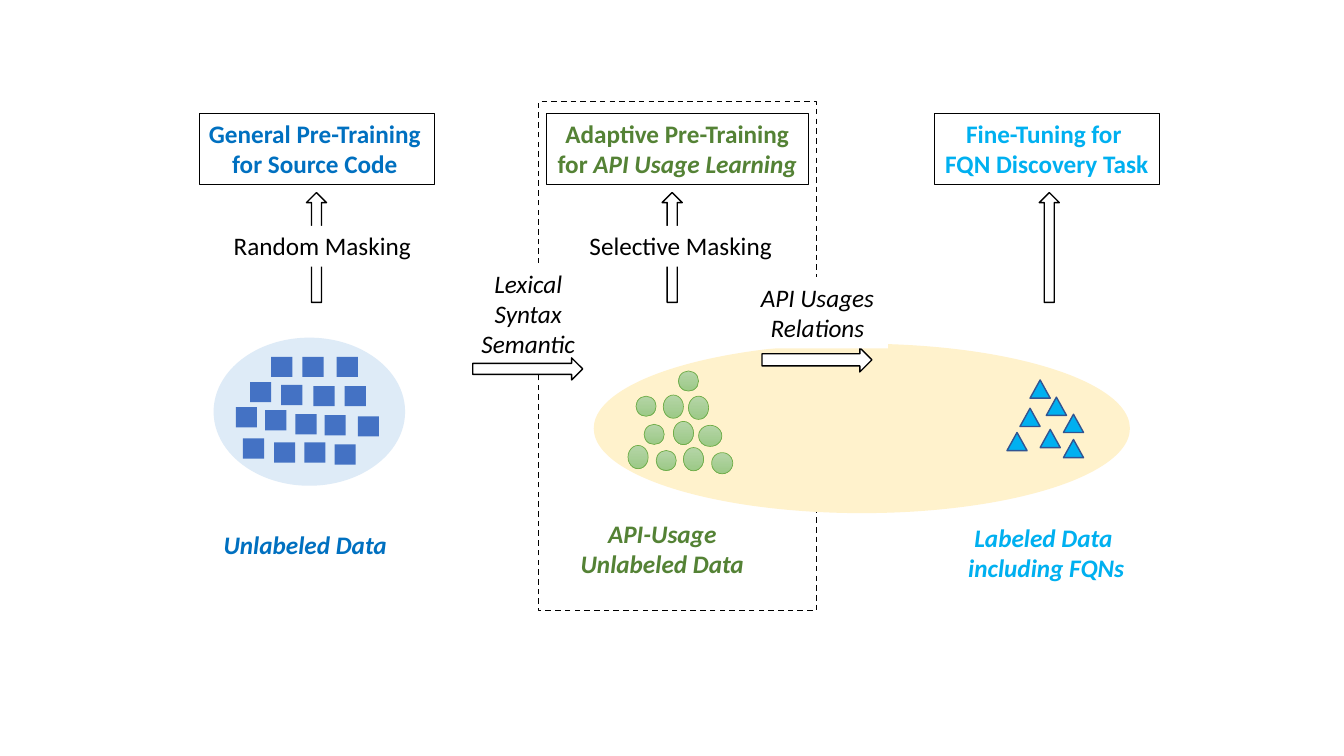
from pptx import Presentation
from pptx.dml.color import RGBColor
from pptx.enum.dml import MSO_LINE
from pptx.enum.shapes import MSO_SHAPE
from pptx.enum.text import MSO_AUTO_SIZE, PP_ALIGN
from pptx.util import Pt

RECT = MSO_SHAPE.RECTANGLE
OVAL = MSO_SHAPE.OVAL
PEAK = MSO_SHAPE.ISOSCELES_TRIANGLE
UP = MSO_SHAPE.UP_ARROW
RIGHT = MSO_SHAPE.RIGHT_ARROW
DASH = MSO_LINE.DASH
GROW = MSO_AUTO_SIZE.SHAPE_TO_FIT_TEXT
LEFT, MID = PP_ALIGN.LEFT, PP_ALIGN.CENTER

BLACK = RGBColor(0x00, 0x00, 0x00)
WHITE = RGBColor(0xFF, 0xFF, 0xFF)
BLUE = RGBColor(0x00, 0x70, 0xC0)
SKY = RGBColor(0x00, 0xB0, 0xF0)
NAVY = RGBColor(0x32, 0x54, 0x91)
ROYAL = RGBColor(0x44, 0x72, 0xC4)
PALE = RGBColor(0xDE, 0xEB, 0xF7)
CREAM = RGBColor(0xFF, 0xF2, 0xCC)
GREEN = RGBColor(0x54, 0x82, 0x35)
LEAF = RGBColor(0x70, 0xAD, 0x47)
MINT = [RGBColor(0xB5, 0xD5, 0xA7), RGBColor(0x9C, 0xC9, 0x87)]

SQUARES = [
    (178.6, 272.9), (193.7, 254.9), (216, 254.9), (200.9, 275),
    (223.9, 275.8), (168.5, 290.9), (189.4, 293), (211, 295.9),
    (231.8, 296.6), (173.5, 313.2), (195.8, 316.1), (217.4, 316.1),
    (240.5, 254.9), (246.2, 275.8), (255.6, 297.4), (239, 317.5),
]
DOTS = [
    (460.1, 303.1, 14.4, 14.4), (473.8, 282.2, 14.4, 16.6),
    (481, 301, 14.4, 16.6), (491.8, 283, 14.4, 16.6),
    (499, 303.8, 16.6, 15.1), (484.6, 265, 14.4, 14.4),
    (488.2, 319.7, 14.4, 16.6), (468.7, 321.8, 14.4, 14.4),
    (508.3, 323.3, 15.1, 15.1), (448.6, 318.2, 14.4, 16.6),
    (454.3, 283, 14.4, 14.4),
]
PEAKS = [
    (735.8, 271.4), (719.3, 308.9), (728.6, 291.6), (743, 306.7),
    (747.4, 283.7), (759.6, 295.9), (759.6, 313.9),
]


def put(item, **values):
    for name, value in values.items():
        setattr(item, name, value)


def paint(shape, fill=None, edge=None, width=1):
    if isinstance(fill, list):
        shape.fill.gradient()
        shape.fill.gradient_angle = 270
        for stop, color in zip(shape.fill.gradient_stops, fill):
            stop.color.rgb = color
    elif fill is None:
        shape.fill.background()
    else:
        shape.fill.solid()
        shape.fill.fore_color.rgb = fill
    if edge is None:
        shape.line.fill.background()
    else:
        shape.line.color.rgb = edge
        shape.line.width = Pt(width)


def form(shapes, kind, box, **look):
    shape = shapes.add_shape(kind, *map(Pt, box))
    shape.shadow.inherit = False
    paint(shape, **look)
    return shape


def label(shapes, box, lines, color, style, aligns=None, wrap=False, **look):
    shape = shapes.add_textbox(*map(Pt, box))
    paint(shape, **look)
    frame = shape.text_frame
    put(frame, word_wrap=wrap, auto_size=GROW)
    for i, line in enumerate(lines):
        para = frame.paragraphs[0] if i == 0 else frame.add_paragraph()
        para.alignment = aligns[i] if aligns else MID
        for part in [line] if isinstance(line, str) else line:
            text, extra = (part, {}) if isinstance(part, str) else part
            run = para.add_run()
            run.text = text
            put(run.font, name="Calibri", size=Pt(18), **{**style, **extra})
            run.font.color.rgb = color


def rise(shapes, left):
    form(shapes, UP, (left, 137.5, 14.4, 78.5), edge=BLACK)


def mask(slide, left, box, text):
    shapes = slide.shapes.add_group_shape().shapes
    rise(shapes, left)
    label(shapes, box, [text], BLACK, {}, [LEFT], fill=WHITE)


def title(slide, left, width, lines, color, aligns=None):
    label(slide.shapes, (left, 80.8, width, 50.9), lines, color,
          {"bold": True}, aligns, edge=BLACK, width=0.75)


def main():
    deck = Presentation()
    put(deck, slide_width=Pt(960), slide_height=Pt(540))
    slide = deck.slides.add_slide(deck.slide_layouts[6])
    shapes = slide.shapes
    slant = {"italic": True}
    strong = {"bold": True, "italic": True}

    frame = form(shapes, RECT, (384.5, 72.7, 198.7, 363.6), edge=BLACK)
    frame.line.dash_style = DASH

    code = shapes.add_group_shape().shapes
    form(code, OVAL, (152.6, 241.2, 136.8, 105.8), fill=PALE)
    for spot in SQUARES:
        form(code, RECT, (*spot, 15.1, 14.4), fill=ROYAL)
    label(shapes, (152.6, 374.4, 132.5, 29.1), ["Unlabeled Data"],
          BLUE, strong, [LEFT])
    mask(slide, 218.9, (159.8, 161.3, 142.6, 29.1), "Random Masking")
    title(slide, 142.2, 168.1, ["General Pre-Training", "for Source Code"],
          BLUE, [LEFT, MID])

    form(shapes, OVAL, (424.1, 245.5, 383, 121), fill=CREAM)
    usage = shapes.add_group_shape().shapes
    for box in DOTS:
        form(usage, OVAL, box, fill=MINT, edge=LEAF, width=0.5)
    label(shapes, (406.8, 366.5, 132.5, 50.9),
          ["API-Usage", "Unlabeled Data"], GREEN, strong)
    mask(slide, 473, (414, 161.3, 146.2, 29.1), "Selective Masking")
    title(slide, 390.2, 187.2,
          ["Adaptive Pre-Training", ["for ", ("API Usage Learning", slant)]],
          GREEN)

    label(shapes, (684, 369.4, 126.7, 50.9),
          ["Labeled Data ", "including FQNs"], SKY, strong)
    names = shapes.add_group_shape().shapes
    for spot in PEAKS:
        form(names, PEAK, (*spot, 14.4, 13), fill=SKY, edge=NAVY)
    rise(shapes, 742.3)
    title(slide, 667.4, 160.6, ["Fine-Tuning for ", "FQN Discovery Task"], SKY)

    syntax = shapes.add_group_shape().shapes
    label(syntax, (331.2, 187.9, 92.2, 72.7),
          ["Lexical", "Syntax", "Semantic"], BLACK, slant,
          wrap=True, fill=WHITE)
    form(syntax, RIGHT, (337.7, 255.6, 78.5, 15.8), fill=WHITE, edge=BLACK)

    links = shapes.add_group_shape().shapes
    form(links, RIGHT, (544.3, 248.4, 78.5, 17.3), fill=WHITE, edge=BLACK)
    label(links, (533.5, 198, 100.8, 50.9), ["API Usages Relations"],
          BLACK, slant, wrap=True, fill=WHITE)

    deck.save("out.pptx")


main()
